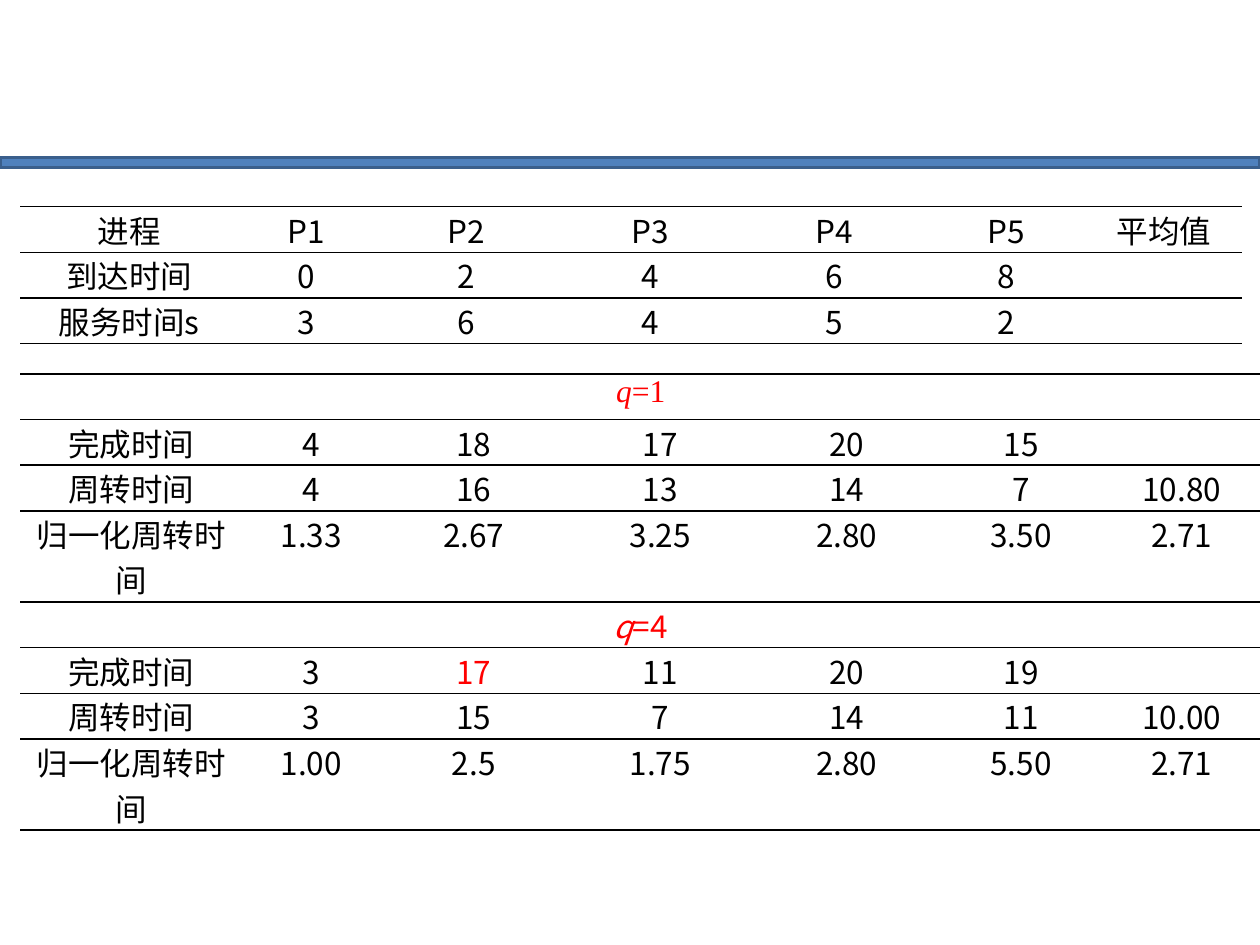
from lxml.etree import SubElement
from pptx import Presentation
from pptx.dml.color import RGBColor
from pptx.enum.shapes import MSO_SHAPE
from pptx.enum.text import MSO_ANCHOR, PP_ALIGN
from pptx.oxml import parse_xml
from pptx.oxml.ns import nsdecls, qn
from pptx.util import Inches, Pt

BLACK = RGBColor(0x00, 0x00, 0x00)
RED = RGBColor(0xFF, 0x00, 0x00)
BAR_FILL = RGBColor(0x4F, 0x81, 0xBD)
BAR_LINE = RGBColor(0x3A, 0x5F, 0x8C)
SANS = "Noto Sans CJK SC"
SERIF = "Times New Roman"
PLAIN_TABLE_STYLE = "{2D5ABB26-0587-4C30-8999-92F81FD0307C}"
ROW_HEIGHT = 0.36

PROCESS_ROWS = [
    ["进程", "P1", "P2", "P3", "P4", "P5", "平均值"],
    ["到达时间", "0", "2", "4", "6", "8", ""],
    ["服务时间s", "3", "6", "4", "5", "2", ""],
]
PROCESS_WIDTHS = [1.73, 1.08, 1.46, 1.46, 1.46, 1.27, 1.24]

ROUND_ROBIN_ROWS = [
    [("q", "=1", SERIF)],
    ["完成时间", "4", "18", "17", "20", "15", ""],
    ["周转时间", "4", "16", "13", "14", "7", "10.80"],
    ["归一化周转时间", "1.33", "2.67", "3.25", "2.80", "3.50", "2.71"],
    [("q", "=4", SANS)],
    ["完成时间", "3", "17", "11", "20", "19", ""],
    ["周转时间", "3", "15", "7", "14", "11", "10.00"],
    ["归一化周转时间", "1.00", "2.5", "1.75", "2.80", "5.50", "2.71"],
]
ROUND_ROBIN_WIDTHS = [1.76, 1.1, 1.48, 1.48, 1.48, 1.29, 1.26]
RED_CELLS = {(5, 2)}


def add_run(paragraph, text, color=BLACK, font=SANS, italic=False):
    run = paragraph.add_run()
    run.text = text
    run.font.size = Pt(18)
    run.font.name = font
    run.font.italic = italic
    run.font.color.rgb = color
    SubElement(run.font._element, qn("a:ea")).set("typeface", font)


def format_cell(cell):
    cell.margin_left = cell.margin_right = Inches(0.07)
    cell.margin_top = cell.margin_bottom = 0
    cell.vertical_anchor = MSO_ANCHOR.TOP
    cell.fill.background()
    properties = cell._tc.get_or_add_tcPr()
    for position, side in enumerate(("lnT", "lnB")):
        properties.insert(position, parse_xml(
            f'<a:{side} {nsdecls("a")} w="12700"><a:solidFill>'
            f'<a:srgbClr val="{BLACK}"/></a:solidFill></a:{side}>'))
    paragraph = cell.text_frame.paragraphs[0]
    paragraph.alignment = PP_ALIGN.CENTER
    paragraph.font.size = Pt(18)
    return paragraph


def add_ruled_table(slide, top, rows, widths, red_cells=()):
    frame = slide.shapes.add_table(
        len(rows), len(widths), Inches(0.16), Inches(top),
        Inches(sum(widths)), Inches(ROW_HEIGHT * len(rows)))
    table = frame.table
    table.first_row = table.horz_banding = False
    table._tbl.tblPr.find(qn("a:tableStyleId")).text = PLAIN_TABLE_STYLE
    for column, width in zip(table.columns, widths):
        column.width = Inches(width)
    for row_index, values in enumerate(rows):
        table.rows[row_index].height = Inches(ROW_HEIGHT)
        paragraphs = [format_cell(cell) for cell in table.rows[row_index].cells]
        if len(values) == 1:
            table.cell(row_index, 0).merge(table.cell(row_index, len(widths) - 1))
            symbol, value, font = values[0]
            add_run(paragraphs[0], symbol, RED, font, italic=True)
            add_run(paragraphs[0], value, RED, font)
            continue
        for column_index, (paragraph, text) in enumerate(zip(paragraphs, values)):
            if text:
                color = RED if (row_index, column_index) in red_cells else BLACK
                add_run(paragraph, text, color)


def main():
    presentation = Presentation()
    presentation.slide_width = Inches(10)
    presentation.slide_height = Inches(7.5)
    slide = presentation.slides.add_slide(presentation.slide_layouts[6])

    bar = slide.shapes.add_shape(
        MSO_SHAPE.RECTANGLE, 0, Inches(1.25), Inches(10), Inches(0.08))
    bar.shadow.inherit = False
    bar.fill.solid()
    bar.fill.fore_color.rgb = BAR_FILL
    bar.line.color.rgb = BAR_LINE
    bar.line.width = Pt(2)

    add_ruled_table(slide, 1.64, PROCESS_ROWS, PROCESS_WIDTHS)
    add_ruled_table(slide, 2.97, ROUND_ROBIN_ROWS, ROUND_ROBIN_WIDTHS, RED_CELLS)
    presentation.save("out.pptx")


if __name__ == "__main__":
    main()
